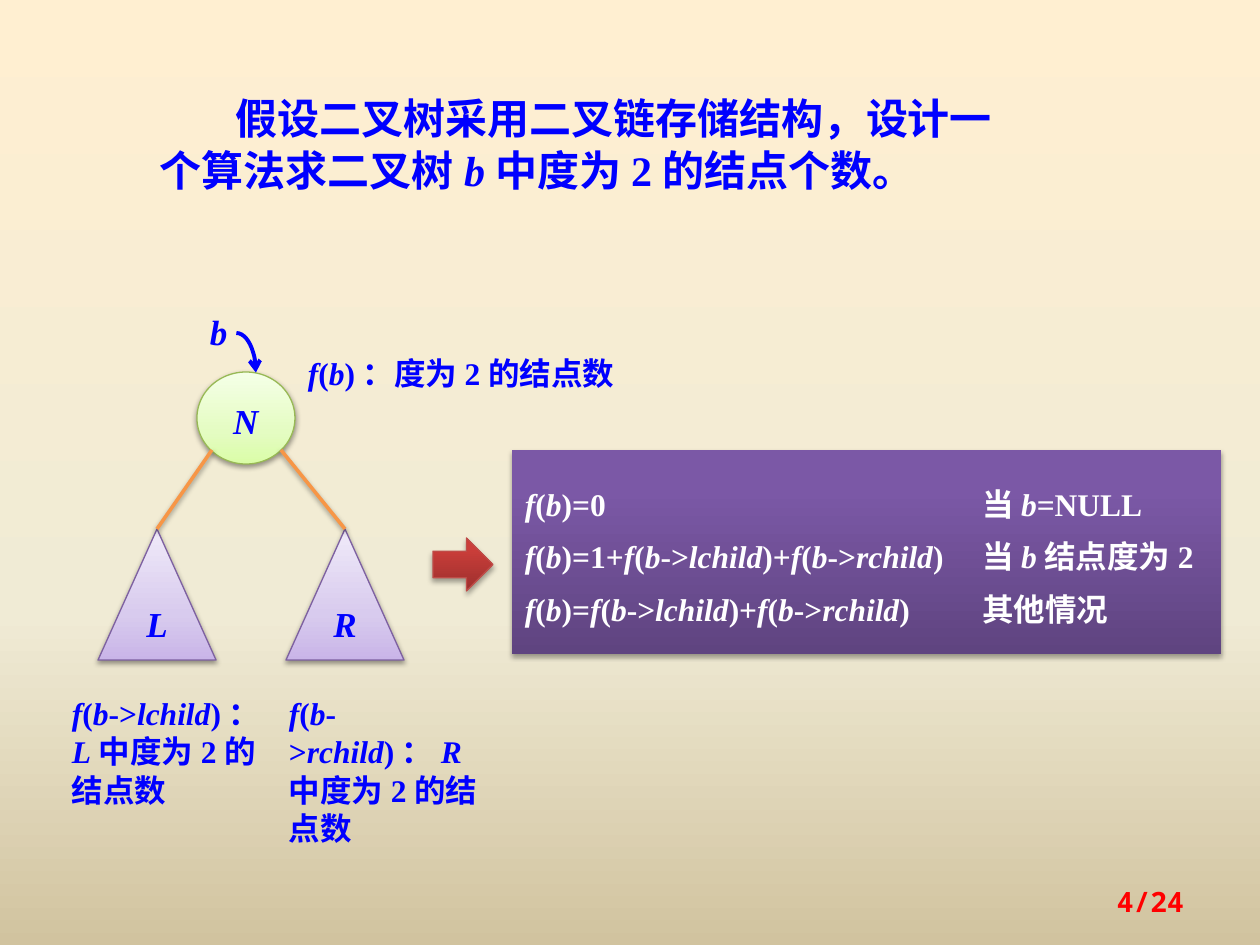
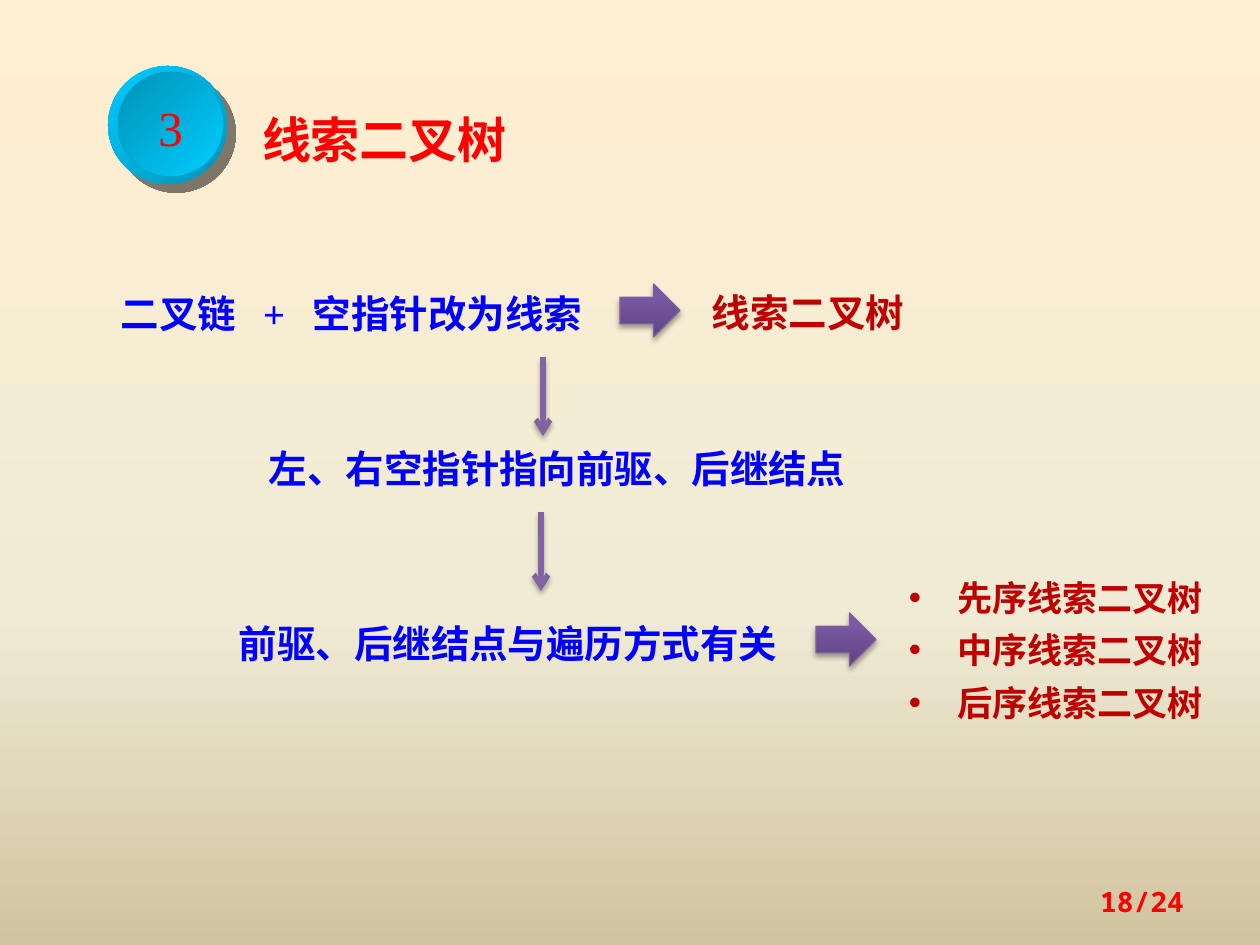
from lxml import etree
from pptx import Presentation
from pptx.dml.color import RGBColor
from pptx.enum.shapes import MSO_CONNECTOR, MSO_SHAPE
from pptx.enum.text import MSO_ANCHOR, MSO_AUTO_SIZE, PP_ALIGN
from pptx.oxml.ns import qn
from pptx.util import Emu, Pt

OVAL, TRIANGLE = MSO_SHAPE.OVAL, MSO_SHAPE.ISOSCELES_TRIANGLE
RECTANGLE, ARROW, ARC = MSO_SHAPE.RECTANGLE, MSO_SHAPE.RIGHT_ARROW, MSO_SHAPE.ARC
STRAIGHT = MSO_CONNECTOR.STRAIGHT
TOP, MIDDLE = MSO_ANCHOR.TOP, MSO_ANCHOR.MIDDLE
LEFT, CENTER, RIGHT = PP_ALIGN.LEFT, PP_ALIGN.CENTER, PP_ALIGN.RIGHT
NO_FIT = MSO_AUTO_SIZE.NONE

SCALE = 914400 / 126
WIDTH, HEIGHT = 1260, 945
TITLE_ONLY = 5
PAGE_COUNT = 24

SERIF, SANS, MONO = "Times New Roman", "Noto Sans CJK SC", "Noto Sans Mono"
BLUE, RED, DARK_RED, WHITE = "0000FF", "FF0000", "C00000", "FFFFFF"
ORANGE, PURPLE, VIOLET = "F79646", "7D60A0", "8064A2"

PAPER = [(0, "FFEFD1"), (65, "F0EBD5"), (100, "D1C39F")]
GREEN_TINT = [(0, "DAFDA7"), (35, "E4FCC2"), (100, "F5FFE7")]
PURPLE_TINT = [(0, "C9B5E8"), (35, "D8CBEE"), (100, "F0EAF9")]
PURPLE_SHADE = [(0, "5F4480"), (80, "7B58A6"), (100, "7C57A8")]
RED_SHADE = [(0, "9C2F2D"), (80, "CB3E3A"), (100, "CE3B37")]
DISC_RIM = [(0, "00CCFF"), (100, "0092B6")]
DISC_FACE = [(0, "0092B6"), (100, "00CCFF")]

LIGHT_SHADOW = ("000000", 38, 3.1, 1.6, 90)
DEEP_SHADOW = ("000000", 35, 3.1, 1.8, 90)
DISC_SHADOW = ("020202", 50, 0, 7.1, 45)


def px(length):
    return Emu(round(length * SCALE))


def color(value):
    return RGBColor.from_string(value)


def child(parent, tag, **attributes):
    values = {name: str(value) for name, value in attributes.items()}
    return etree.SubElement(parent, qn(tag), values)


def paint_gradient(fill, owner, stops, angle):
    fill.gradient()
    gradient = next(owner.iter(qn("a:gradFill")))
    stop_list = gradient.find(qn("a:gsLst"))
    for stop in list(stop_list):
        stop_list.remove(stop)
    for position, value in stops:
        stop = child(stop_list, "a:gs", pos=position * 1000)
        child(stop, "a:srgbClr", val=value)
    gradient.find(qn("a:lin")).set("ang", str(angle * 60000))


def cast_shadow(shape, shadow):
    effects = child(shape.element.spPr, "a:effectLst")
    if shadow:
        value, opacity, blur, distance, angle = shadow
        outer = child(effects, "a:outerShdw", blurRad=Pt(blur), dist=Pt(distance),
                      dir=angle * 60000, algn="ctr", rotWithShape=0)
        tone = child(outer, "a:srgbClr", val=value)
        child(tone, "a:alpha", val=opacity * 1000)


def stroke(shape, value, weight, arrow=False):
    shape.line.color.rgb = color(value)
    shape.line.width = Pt(weight)
    if arrow:
        child(shape.element.spPr.find(qn("a:ln")), "a:tailEnd", type="arrow")


def write(shape, text, size=18, font=SERIF, ink=BLUE, bold=True, align=LEFT,
          anchor=TOP, leading=Pt(30), wrap=True, first_indent=0,
          bullet_indent=0, tabs=(), margins=(6, 6)):
    """Text between underscores is set in italics."""
    frame = shape.text_frame
    frame.word_wrap = wrap
    frame.auto_size = NO_FIT
    frame.vertical_anchor = anchor
    frame.margin_left = frame.margin_right = px(13)
    frame.margin_top, frame.margin_bottom = map(px, margins)
    for index, line in enumerate(text.split("\n")):
        para = frame.add_paragraph() if index else frame.paragraphs[0]
        para.alignment = align
        para.line_spacing = leading
        properties = para._p.get_or_add_pPr()
        if first_indent:
            properties.set("indent", str(px(first_indent)))
        if bullet_indent:
            properties.set("marL", str(px(bullet_indent)))
            properties.set("indent", str(-px(bullet_indent)))
            child(properties, "a:buFont", typeface="Arial")
            child(properties, "a:buChar", char="•")
        if tabs:
            tab_list = child(properties, "a:tabLst")
            for stop in tabs:
                child(tab_list, "a:tab", pos=px(stop), algn="l")
        for part, piece in enumerate(line.split("_")):
            if piece:
                span = para.add_run()
                span.text = piece
                span.font.size = Pt(size)
                span.font.name = font
                span.font.bold = bold
                span.font.italic = part % 2 == 1
                span.font.color.rgb = color(ink)
                child(span._r.get_or_add_rPr(), "a:ea", typeface=SANS)


def label(page, box, text, **style):
    write(page.shapes.add_textbox(*map(px, box)), text, **style)


def add_figure(page, kind, box, stops=None, angle=270, edge=None, weight=0.75,
               shadow=None, arrow=False):
    figure = page.shapes.add_shape(kind, *map(px, box))
    if stops:
        paint_gradient(figure.fill, figure.element.spPr, stops, angle)
    else:
        figure.fill.background()
    if edge:
        stroke(figure, edge, weight, arrow)
    else:
        figure.line.fill.background()
    cast_shadow(figure, shadow)
    return figure


def add_line(page, start, end, value, weight, shadow, arrow=False):
    line = page.shapes.add_connector(STRAIGHT, *map(px, (*start, *end)))
    stroke(line, value, weight, arrow)
    cast_shadow(line, shadow)


def block_arrow(page, left, top, stops=PURPLE_SHADE, edge=PURPLE):
    add_figure(page, ARROW, (left, top, 60, 53), stops, edge=edge, shadow=DEEP_SHADOW)


def set_title(page, box, text, **style):
    title = page.shapes.title
    title.left, title.top, title.width, title.height = map(px, box)
    write(title, text, **style)


def new_page(deck, number):
    page = deck.slides.add_slide(deck.slide_layouts[TITLE_ONLY])
    label(page, (903, 876, 294, 50), f"{number}/{PAGE_COUNT}", size=16, font=MONO,
          ink=RED, align=RIGHT, anchor=MIDDLE, leading=1.0)
    return page


def draw_tree(page, left, top):
    node = add_figure(page, OVAL, (left + 99, top + 78, 98, 92), GREEN_TINT,
                      edge="98B955", shadow=LIGHT_SHADOW)
    write(node, "_N_", size=20, align=CENTER, anchor=MIDDLE, leading=1.1)
    branches = [("L", "lchild", 0, 114, -39), ("R", "rchild", 188, 183, 178)]
    for name, pointer, offset, joint, caption in branches:
        subtree = add_figure(page, TRIANGLE, (left + offset, top + 235, 118, 131),
                             PURPLE_TINT, edge=PURPLE, shadow=LIGHT_SHADOW)
        write(subtree, f"_{name}_", size=20, align=CENTER, anchor=MIDDLE, leading=Pt(20))
        add_line(page, (left + joint, top + 156), (left + offset + 59, top + 235),
                 ORANGE, 2, LIGHT_SHADOW)
        label(page, (left + caption, top + 393, 217, 130),
              f"_f_(_b_->_{pointer}_)：_{name}_中度为2的结点数", leading=Pt(22))
    add_figure(page, ARC, (left + 119, top + 39, 39, 79), edge=BLUE, weight=2.25, arrow=True)
    label(page, (left + 99, top, 59, 65), "_b_", size=20)
    label(page, (left + 197, top + 39, 364, 65), "_f_(_b_)：度为2的结点数")


def draw_formula(page, left, top):
    children = "_f_(_b_->_lchild_)+_f_(_b_->_rchild_)"
    cases = [("0", "当_b_=NULL"), (f"1+{children}", "当_b_结点度为2"), (children, "其他情况")]
    panel = add_figure(page, RECTANGLE, (left + 79, top, 709, 204), PURPLE_SHADE,
                       shadow=DEEP_SHADOW)
    write(panel, "\n".join(f"_f_(_b_)={value}\t{case}" for value, case in cases),
          ink=WHITE, tabs=[457], margins=(20, 25))
    block_arrow(page, left, top + 88, RED_SHADE, "BF4C48")


def draw_badge(page, left, top, number):
    add_figure(page, OVAL, (left, top, 119, 118), DISC_RIM, 45, shadow=DISC_SHADOW)
    face = add_figure(page, OVAL, (left + 10, top + 6, 105, 104), DISC_FACE, 45)
    write(face, number, size=28, ink=RED, bold=False, align=CENTER, anchor=MIDDLE,
          leading=1.1, wrap=False)


def draw_idea_flow(page, left, top):
    steps = [
        (0, 0, 522, "二叉链\t+\t空指针改为线索"),
        (148, 155, 620, "左、右空指针指向前驱、后继结点"),
        (118, 330, 591, "前驱、后继结点与遍历方式有关"),
    ]
    for offset, drop, width, text in steps:
        label(page, (left + offset, top + drop, width, 65), text, size=22, tabs=[142, 192])
    for offset, drop in [(435, 79), (433, 234)]:
        add_line(page, (left + offset, top + drop), (left + offset, top + drop + 79),
                 VIOLET, 3, DEEP_SHADOW, arrow=True)
    block_arrow(page, left + 512, top + 6)
    label(page, (left + 591, top - 1, 256, 65), "线索二叉树", size=22, font=SANS, ink=DARK_RED)
    block_arrow(page, left + 708, top + 335)
    orders = "\n".join(f"{order}序线索二叉树" for order in "先中后")
    label(page, (left + 788, top + 282, 335, 171), orders, size=20, font=SANS,
          ink=DARK_RED, bullet_indent=48)


def build_counting_page(deck):
    page = new_page(deck, 4)
    set_title(page, (147, 84, 876, 118),
              "假设二叉树采用二叉链存储结构，设计一个算法求二叉树_b_中度为2的结点个数。",
              size=24, first_indent=76)
    draw_tree(page, 98, 294)
    draw_formula(page, 433, 450)


def build_threaded_page(deck):
    page = new_page(deck, 18)
    draw_badge(page, 108, 66, "3")
    set_title(page, (249, 98, 352, 73), "线索二叉树", size=28, font=SANS, ink=RED,
              leading=1.1)
    draw_idea_flow(page, 108, 278)


def main():
    deck = Presentation()
    deck.slide_width, deck.slide_height = px(WIDTH), px(HEIGHT)
    master = deck.slide_master
    paint_gradient(master.background.fill, master.element, PAPER, 90)
    build_counting_page(deck)
    build_threaded_page(deck)
    deck.save("out.pptx")


if __name__ == "__main__":
    main()
